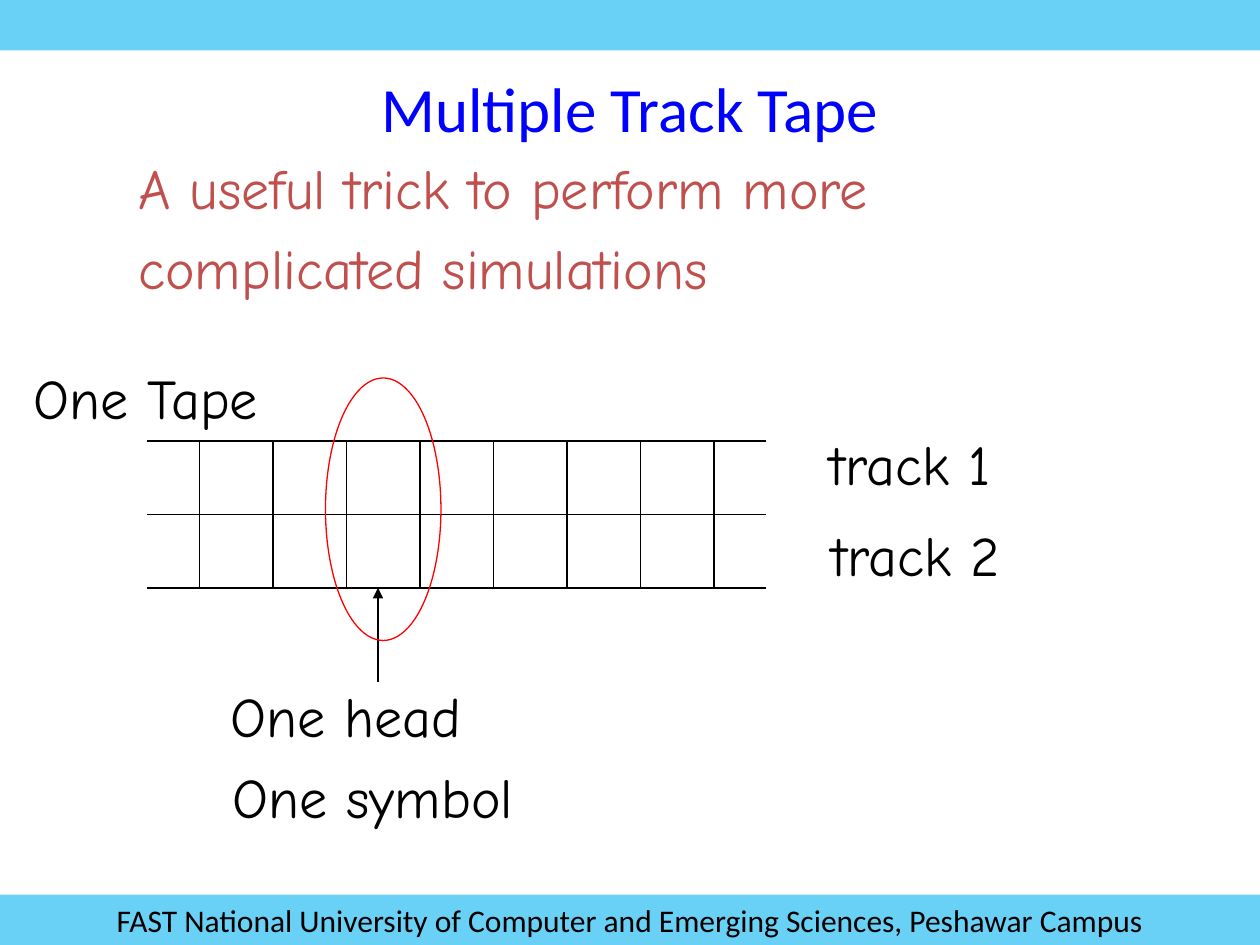
from lxml import etree
from pptx import Presentation
from pptx import util as u
from pptx.dml.color import RGBColor
from pptx.enum import shapes, text
from pptx.oxml.ns import qn

PX = 7620  # EMU; 120 px to the inch
BLACK, RED, BLUE, BRICK, SKY = "000000", "FF0000", "0000FF", "C0504D", "00B0F0"
HEADING_FONT, NOTE_FONT = "Calibri", "Comic Neue"


def color(value):
    return RGBColor.from_string(value)


def write(frame, lines, font=NOTE_FONT, size=32, ink=BLACK, align=text.PP_ALIGN.LEFT,
          anchor=text.MSO_ANCHOR.TOP, wrap=False, gap=7.5):
    """Fill a text frame with one paragraph per line, gap points apart."""
    frame.word_wrap = wrap
    frame.vertical_anchor = anchor
    for index, line in enumerate(lines):
        para = frame.add_paragraph() if index else frame.paragraphs[0]
        para.alignment = align
        if index:
            para.space_before = u.Pt(gap)
        span = para.add_run()
        span.text = line
        span.font.name = font
        span.font.size = u.Pt(size)
        span.font.color.rgb = color(ink)


class Canvas:
    def __init__(self, width, height):
        self.deck = Presentation()
        self.deck.slide_width, self.deck.slide_height = width * PX, height * PX
        self.page = self.deck.slides.add_slide(self.deck.slide_layouts[6])
        self.stroke = u.Pt(0.75)

    def shape(self, kind, left, top, width, height):
        item = self.page.shapes.add_shape(kind, left * PX, top * PX, width * PX, height * PX)
        item.shadow.inherit = False
        return item

    def bar(self, top, height=48, opacity=59):
        bar = self.shape(shapes.MSO_SHAPE.RECTANGLE, 0, top, 1200, height)
        bar.fill.solid()
        bar.fill.fore_color.rgb = color(SKY)
        bar.line.fill.background()
        tint = bar.fill._xPr.find(".//" + qn("a:srgbClr"))
        etree.SubElement(tint, qn("a:alpha"), val=str(opacity * 1000))
        return bar

    def ellipse(self, left, top, width, height, ink):
        ring = self.shape(shapes.MSO_SHAPE.OVAL, left, top, width, height)
        ring.fill.background()
        ring.line.color.rgb = color(ink)
        ring.line.width = self.stroke

    def line(self, x1, y1, x2, y2, arrow=False):
        line = self.page.shapes.add_connector(
            shapes.MSO_CONNECTOR.STRAIGHT, x1 * PX, y1 * PX, x2 * PX, y2 * PX)
        line.line.color.rgb = color(BLACK)
        line.line.width = self.stroke
        if arrow:
            etree.SubElement(line.line._get_or_add_ln(), qn("a:tailEnd"), type="triangle")
        etree.SubElement(line._element.spPr, qn("a:effectLst"))

    def label(self, left, top, width, height, *lines, **style):
        box = self.page.shapes.add_textbox(left * PX, top * PX, width * PX, height * PX)
        write(box.text_frame, lines, **style)


def main():
    canvas = Canvas(1200, 900)
    heading = dict(font=HEADING_FONT, align=text.PP_ALIGN.CENTER, wrap=True)

    canvas.bar(0)
    footer = canvas.bar(852)
    write(footer.text_frame,
          ["FAST National University of Computer and Emerging Sciences, Peshawar Campus"],
          size=18, anchor=text.MSO_ANCHOR.MIDDLE, **heading)
    canvas.label(20, 60, 1160, 80, "Multiple Track Tape", size=36, ink=BLUE, **heading)

    cell, tape_top, tracks = 70, 420, 2
    tape_bottom = tape_top + tracks * cell
    canvas.line(360, 650, 360, tape_bottom, arrow=True)
    for row in range(tracks + 1):
        y = tape_top + row * cell
        canvas.line(140, y, 730, y)
    for column in range(8):
        x = 190 + column * cell
        canvas.line(x, tape_top, x, tape_bottom)
    canvas.ellipse(310, 360, 110, 250, RED)

    canvas.label(120, 140, 802, 152, "A useful trick to perform more",
                 "complicated simulations", ink=BRICK)
    for left, top, width, words in (
        (20, 340, 262, "One Tape"),
        (778, 403, 198, "track 1"),
        (780, 490, 208, "track 2"),
        (208, 643, 258, "One head"),
        (210, 720, 310, "One symbol"),
    ):
        canvas.label(left, top, width, 76, words)

    canvas.deck.save("out.pptx")


if __name__ == "__main__":
    main()
